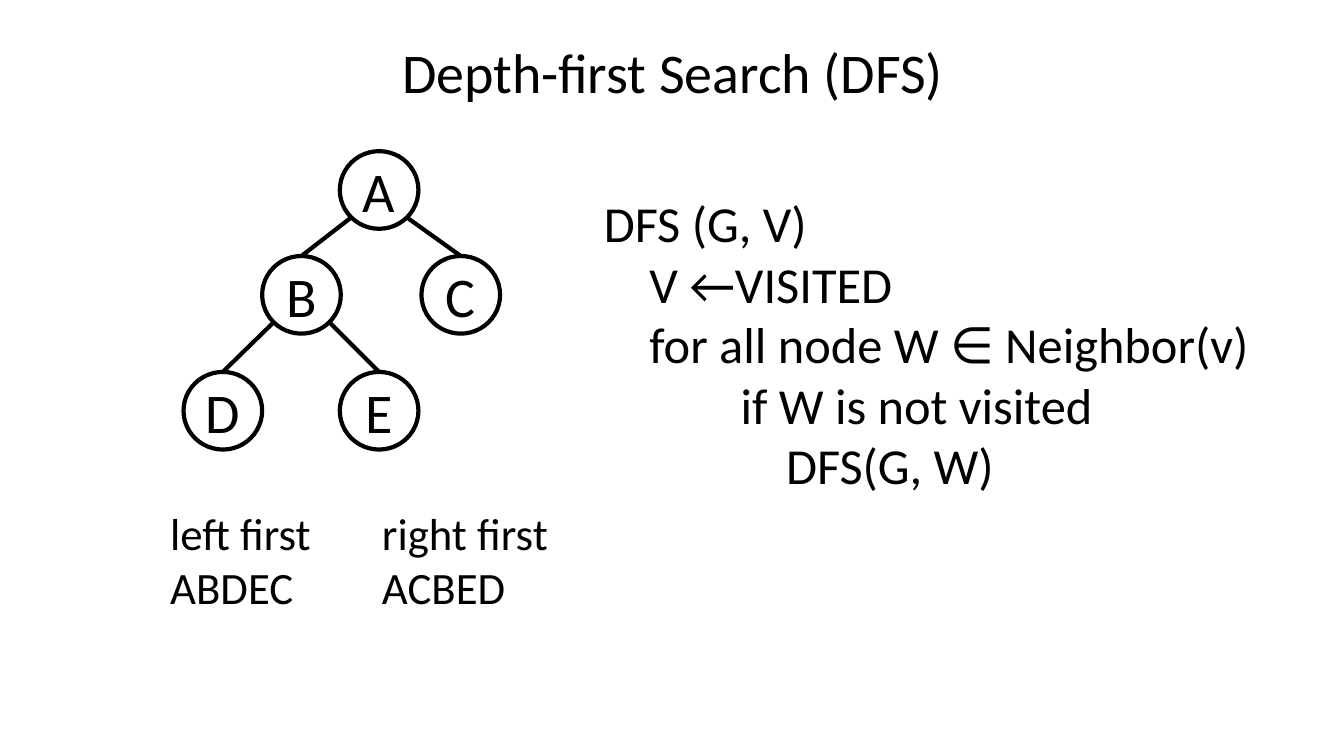
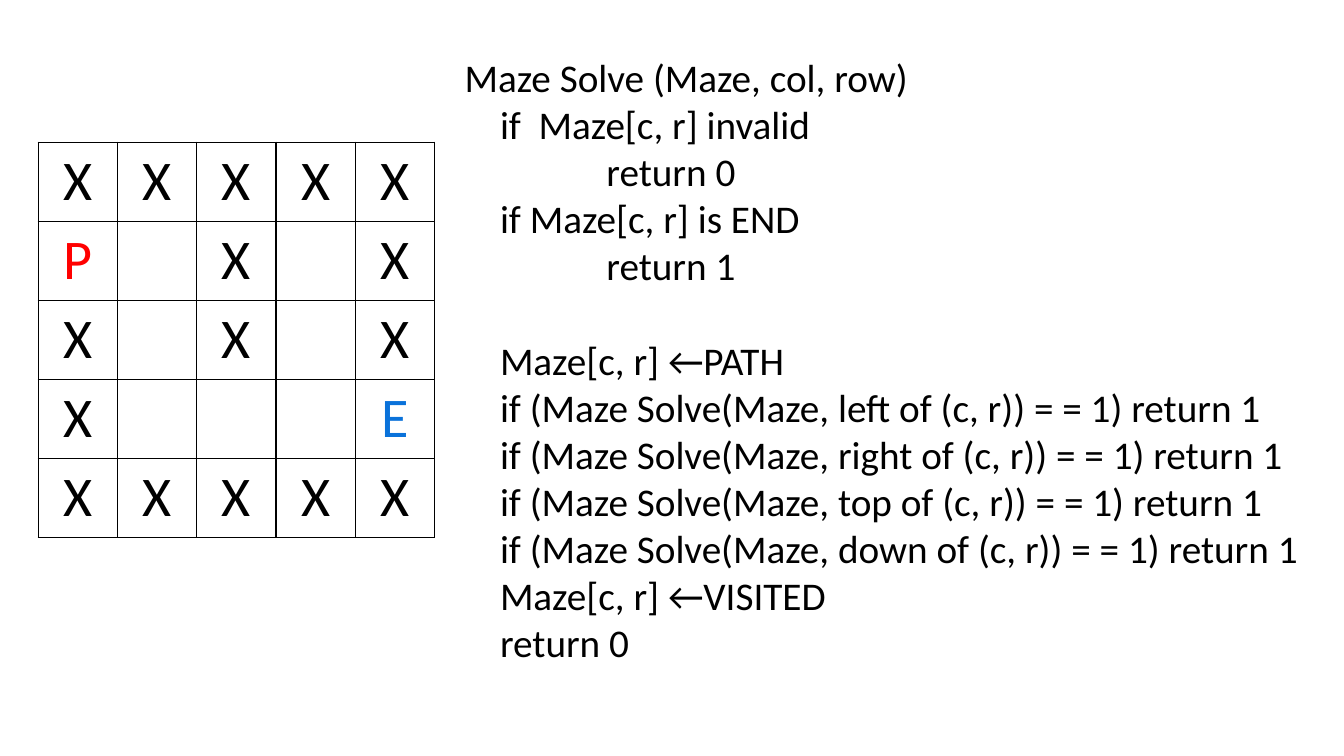
import math

from lxml import etree
from pptx import Presentation
from pptx import util as u
from pptx.dml.color import RGBColor
from pptx.enum import shapes, text
from pptx.oxml import ns

PX = 9144
FONT = "Calibri"
COLORS = {"ink": "000000", "paper": "FFFFFF", "start": "FF0000", "end": "0A72DA"}
TITLE_ONLY, BLANK = 5, 6

NODE_SIZE = (78, 77)
NODES = {"A": (155, 0), "B": (78, 104), "C": (236, 104), "D": (0, 219), "E": (155, 219)}
EDGES = [("A", "B"), ("A", "C"), ("B", "D"), ("B", "E")]
DFS_CODE = [
    "DFS (G, V)",
    "    V ←VISITED",
    "    for all node W ∈ Neighbor(v)",
    "            if W is not visited",
    "                DFS(G, W)",
]
ORDERS = ["left first\tright first", "ABDEC\tACBED"]
MAZE = ["XXXXX", "P X X", "X X X", "X   E", "XXXXX"]
MAZE_COLORS = {"P": "start", "E": "end"}
MAZE_CHECKS = [
    "Maze Solve (Maze, col, row)",
    "    if  Maze[c, r] invalid",
    "                return 0",
    "    if Maze[c, r] is END",
    "                return 1",
]
MAZE_STEPS = [
    "    Maze[c, r] ←PATH",
    *(f"    if (Maze Solve(Maze, {side} of (c, r)) = = 1) return 1"
      for side in ("left", "right", "top", "down")),
    "    Maze[c, r] ←VISITED",
    "    return 0",
]


def px(*lengths):
    return [u.Emu(round(length * PX)) for length in lengths]


def rgb(name):
    return RGBColor.from_string(COLORS[name])


def write(paragraph, words, size, color="ink", align=text.PP_ALIGN.LEFT):
    paragraph.alignment = align
    run = paragraph.add_run()
    run.text = words
    run.font.name = FONT
    run.font.size = u.Pt(size)
    run.font.color.rgb = rgb(color)


def write_centered(paragraph, words, color="ink"):
    write(paragraph, words, 40, color, text.PP_ALIGN.CENTER)


def add_title(slide, box, words):
    title = slide.shapes.title
    title.left, title.top, title.width, title.height = px(*box)
    title.text_frame.auto_size = text.MSO_AUTO_SIZE.NONE
    write_centered(title.text_frame.paragraphs[0], words)


def add_lines(slide, box, lines, size):
    frame = slide.shapes.add_textbox(*px(*box)).text_frame
    frame.word_wrap = True
    for index, line in enumerate(lines):
        paragraph = frame.paragraphs[0] if index == 0 else frame.add_paragraph()
        write(paragraph, line, size)
    return frame.paragraphs


def add_orders(slide, box, column):
    for paragraph in add_lines(slide, box, ORDERS, 32):
        properties = paragraph._p.get_or_add_pPr()
        stops = etree.SubElement(properties, ns.qn("a:tabLst"))
        etree.SubElement(stops, ns.qn("a:tab"), pos=str(column * PX), algn="l")


def add_tree(slide, left, top):
    group = slide.shapes.add_group_shape().shapes
    width, height = NODE_SIZE
    circles = {}
    for name, (x, y) in NODES.items():
        circle = group.add_shape(
            shapes.MSO_SHAPE.OVAL, *px(left + x, top + y, width, height))
        circle.shadow.inherit = False
        circle.fill.solid()
        circle.fill.fore_color.rgb = rgb("paper")
        circle.line.color.rgb = rgb("ink")
        circle.line.width = u.Pt(3)
        circle.text_frame.vertical_anchor = text.MSO_ANCHOR.MIDDLE
        write_centered(circle.text_frame.paragraphs[0], name)
        circles[name] = circle

    for parent, child in EDGES:
        parent_x, parent_y = NODES[parent]
        child_x, child_y = NODES[child]
        side = math.copysign(math.sqrt(0.5), child_x - parent_x)
        edge = group.add_connector(
            shapes.MSO_CONNECTOR.STRAIGHT,
            *px(left + parent_x + width / 2 * (1 + side),
                top + parent_y + height / 2 * (1 + abs(side)),
                left + child_x + width / 2,
                top + child_y))
        edge.end_connect(circles[child], 0)
        edge.line.color.rgb = rgb("ink")
        edge.line.width = u.Pt(3)
        etree.SubElement(edge._element.spPr, ns.qn("a:effectLst"))


def add_borders(cell):
    properties = cell._tc.get_or_add_tcPr()
    for side in ("lnL", "lnR", "lnT", "lnB"):
        border = etree.SubElement(properties, ns.qn(f"a:{side}"), w=str(u.Pt(1)))
        fill = etree.SubElement(border, ns.qn("a:solidFill"))
        etree.SubElement(fill, ns.qn("a:srgbClr"), val=COLORS["ink"])


def add_maze(slide, box):
    maze = slide.shapes.add_table(len(MAZE), len(MAZE[0]), *px(*box)).table
    maze.first_row = maze.horz_banding = False
    for row, marks in enumerate(MAZE):
        for column, mark in enumerate(marks):
            cell = maze.cell(row, column)
            add_borders(cell)
            cell.fill.solid()
            cell.fill.fore_color.rgb = rgb("paper")
            if mark != " ":
                write_centered(cell.text_frame.paragraphs[0], mark,
                               MAZE_COLORS.get(mark, "ink"))


def build_search_slide(deck):
    slide = deck.slides.add_slide(deck.slide_layouts[TITLE_ONLY])
    add_title(slide, (222, 32, 890, 77), "Depth-first Search (DFS)")
    add_orders(slide, (159, 497, 430, 118), 210)
    add_lines(slide, (589, 186, 718, 311), DFS_CODE, 36)
    add_tree(slide, 182, 150)


def build_maze_slide(deck):
    slide = deck.slides.add_slide(deck.slide_layouts[BLANK])
    add_maze(slide, (38, 141, 393, 392))
    code = add_lines(slide, (451, 48, 867, 623), MAZE_CHECKS + MAZE_STEPS, 28)
    code[len(MAZE_CHECKS)].space_before = u.Pt(34)


def main():
    deck = Presentation()
    deck.slide_width, deck.slide_height = px(1333, 750)
    build_search_slide(deck)
    build_maze_slide(deck)
    deck.save("out.pptx")


if __name__ == "__main__":
    main()
